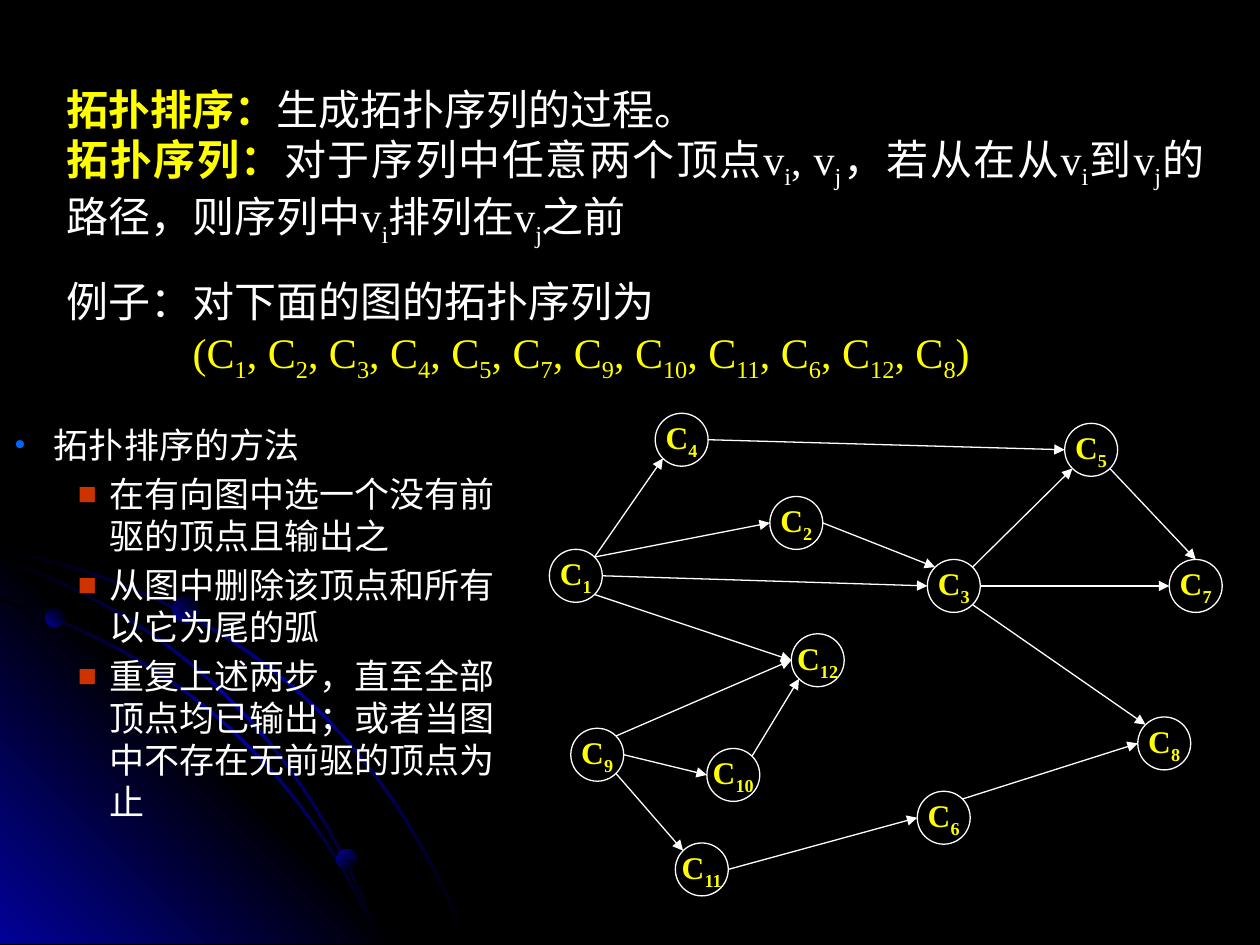
import math

import pptx
import pptx.dml.color
import pptx.enum.shapes
import pptx.enum.text
import pptx.oxml.ns
import pptx.util
from lxml import etree

Inches = pptx.util.Inches
Pt = pptx.util.Pt
RGB = pptx.dml.color.RGBColor.from_string
OVAL = pptx.enum.shapes.MSO_SHAPE.OVAL
ALIGN = pptx.enum.text.PP_ALIGN
qn = pptx.oxml.ns.qn
COLORS = {"black": "000000", "blue": "010199", "white": "FFFFFF", "yellow": "FFFF00",
          "dot": "0066FF", "square": "CC3300"}


def fill_gradient(sp, names, angle):
    sp.shadow.inherit = False
    sp.line.fill.background()
    sp.fill.gradient()
    grad = sp._element.spPr.find(qn("a:gradFill"))
    gs_list = grad.find(qn("a:gsLst"))
    for gs in list(gs_list):
        gs_list.remove(gs)
    for i, name in enumerate(names):
        gs = etree.SubElement(gs_list, qn("a:gs"), pos=str(100000 * i // (len(names) - 1)))
        etree.SubElement(gs, qn("a:srgbClr"), val=COLORS[name])
    grad.find(qn("a:lin")).set("ang", str(angle * 60000))


def add_runs(p, text, size, color, bold=False, font="Times New Roman"):
    for i, part in enumerate(text.split("|")):
        if not part:
            continue
        r = p.add_run()
        r.text = part
        r.font.size = Pt(size)
        r.font.name = font
        r.font.bold = bold
        r.font.color.rgb = RGB(COLORS[color])
        is_subscript = i % 2 == 1
        if is_subscript:
            r._r.get_or_add_rPr().set("baseline", "-25000")


prs = pptx.Presentation()
prs.slide_width = Inches(10)
prs.slide_height = Inches(7.5)
s = prs.slides.add_slide(prs.slide_layouts[6])
s.background.fill.solid()
s.background.fill.fore_color.rgb = RGB(COLORS["black"])

BOTTOM = 7.49
HALF_WIDTH = 0.01
STEPS = 24
outer_arc = ((0, 4.36), (2.7, 4.9), (3.71, BOTTOM))
inner_arc = ((0, 4.76), (2.1, 5.4), (3.02, BOTTOM))
middle_arc = ((0, 4.43), (2.2, 5.2), (3.02, BOTTOM))
corner = [(0, 4.27), (3.22, BOTTOM), (0, BOTTOM)]

outlines = []
for (x0, y0), (x1, y1), (x2, y2) in [outer_arc, inner_arc, middle_arc]:
    edges = []
    for shift in (-HALF_WIDTH, HALF_WIDTH):
        edge = []
        for step in range(STEPS + 1):
            t = step / STEPS
            a, b, c = (1 - t) ** 2, 2 * t * (1 - t), t ** 2
            edge.append((a * x0 + b * (x1 - shift) + c * (x2 - shift),
                         a * (y0 + shift) + b * (y1 + shift) + c * y2))
        edges.append(edge)
    upper, lower = edges
    outlines.append((upper + lower[::-1], ["black", "blue", "black"], 45))
outlines.insert(1, (corner, ["blue", "black", "blue"], 315))

for points, names, angle in outlines:
    points = [(Inches(x), Inches(y)) for x, y in points]
    fb = s.shapes.build_freeform(*points[0])
    fb.add_line_segments(points[1:], close=True)
    fill_gradient(fb.convert_to_shape(), names, angle)

balls = [(0.36, 4.83, 0.15, 315), (2.67, 6.74, 0.16, 45), (1.37, 4.73, 0.21, 315)]
for x, y, size, angle in balls:
    sp = s.shapes.add_shape(OVAL, Inches(x), Inches(y), Inches(size), Inches(size))
    fill_gradient(sp, ["blue", "black"], angle)

definitions = [
    ("拓扑排序：", "生成拓扑序列的过程。"),
    ("拓扑序列：", "对于序列中任意两个顶点v|i|, v|j|，若从在从v|i|到v|j|的路径，则序列中v|i|排列在v|j|之前"),
]
tf = s.shapes.add_textbox(Inches(0.43), Inches(0.61), Inches(9.23), Inches(1.31)).text_frame
tf.word_wrap = True
for i, (term, meaning) in enumerate(definitions):
    p = tf.add_paragraph() if i else tf.paragraphs[0]
    p.alignment = ALIGN.JUSTIFY
    add_runs(p, term, 24, "yellow", True)
    add_runs(p, meaning, 24, "white")

DIAMETER = 0.42
RADIUS = DIAMETER / 2
courses = {1: (4.36, 4.36), 2: (6.11, 3.94), 3: (7.36, 4.44), 4: (5.2, 3.28),
           5: (8.45, 3.36), 6: (7.28, 6.28), 7: (9.28, 4.44), 8: (9.03, 5.69),
           9: (4.53, 5.78), 10: (5.61, 5.94), 11: (5.36, 6.69), 12: (6.28, 5.03)}
for number, (x, y) in courses.items():
    sp = s.shapes.add_shape(OVAL, Inches(x), Inches(y), Inches(DIAMETER), Inches(DIAMETER))
    sp.shadow.inherit = False
    sp.fill.background()
    sp.line.color.rgb = RGB(COLORS["white"])
    sp.line.width = Pt(0.75)
    tf = sp.text_frame
    tf.word_wrap = False
    tf.vertical_anchor = pptx.enum.text.MSO_ANCHOR.MIDDLE
    p = tf.paragraphs[0]
    p.alignment = ALIGN.CENTER
    add_runs(p, f"C|{number}", 18, "yellow", True)

directions = ["E", "SE", "S", "SW", "W", "NW", "N", "NE"]
compass = {name: math.radians(45 * i) for i, name in enumerate(directions)}
arrows = [(1, "NE", 4, "SW"), (1, "NE", 2, "W"), (1, "E", 3, "W"), (1, "SE", 12, "W"),
          (2, "E", 3, "NW"), (3, "NE", 5, "SW"), (3, "E", 7, "W"), (3, "SE", 8, "NW"),
          (4, "E", 5, "W"), (5, "SE", 7, "N"), (6, "NE", 8, "W"), (9, "NE", 12, "W"),
          (9, "E", 10, "W"), (9, "SE", 11, "NW"), (10, "NE", 12, "SW"), (11, "E", 6, "W")]
for start, start_side, end, end_side in arrows:
    ends = []
    for number, side in [(start, start_side), (end, end_side)]:
        x, y = courses[number]
        ends.append(Inches(x + RADIUS + RADIUS * math.cos(compass[side])))
        ends.append(Inches(y + RADIUS + RADIUS * math.sin(compass[side])))
    cxn = s.shapes.add_connector(pptx.enum.shapes.MSO_CONNECTOR.STRAIGHT, *ends)
    cxn.line.color.rgb = RGB(COLORS["white"])
    cxn.line.width = Pt(0.75)
    etree.SubElement(cxn.line._get_or_add_ln(), qn("a:tailEnd"), type="triangle")
    etree.SubElement(cxn._element.spPr, qn("a:effectLst"))

order = [1, 2, 3, 4, 5, 7, 9, 10, 11, 6, 12, 8]
sequence = ", ".join(f"C|{number}|" for number in order)
tf = s.shapes.add_textbox(Inches(0.43), Inches(2.14), Inches(8.35), Inches(0.91)).text_frame
tf.word_wrap = True
add_runs(tf.paragraphs[0], "例子：对下面的图的拓扑序列为", 24, "white")
p = tf.add_paragraph()
tabs = etree.SubElement(p._p.get_or_add_pPr(), qn("a:tabLst"))
etree.SubElement(tabs, qn("a:tab"), pos=str(Inches(1)), algn="l")
add_runs(p, f"\t({sequence})", 24, "yellow")

method = [
    (1, "拓扑排序的方法"),
    (2, "在有向图中选一个没有前驱的顶点且输出之"),
    (2, "从图中删除该顶点和所有以它为尾的弧"),
    (2, "重复上述两步，直至全部顶点均已输出；或者当图中不存在无前驱的顶点为止"),
]
bullets = {1: (0.81, -0.31, "dot", 85, "•"), 2: (1.25, -0.25, "square", 90, "■")}
tf = s.shapes.add_textbox(Inches(-0.48), Inches(3.31), Inches(4.65), Inches(3.33)).text_frame
tf.word_wrap = True
for i, (level, text) in enumerate(method):
    p = tf.add_paragraph() if i else tf.paragraphs[0]
    p.level = level
    margin, indent, color, percent, char = bullets[level]
    pPr = p._p.get_or_add_pPr()
    pPr.set("marL", str(Inches(margin)))
    pPr.set("indent", str(Inches(indent)))
    bu_clr = etree.SubElement(pPr, qn("a:buClr"))
    etree.SubElement(bu_clr, qn("a:srgbClr"), val=COLORS[color])
    etree.SubElement(pPr, qn("a:buSzPct"), val=str(percent * 1000))
    etree.SubElement(pPr, qn("a:buFont"), typeface="Arial")
    etree.SubElement(pPr, qn("a:buChar"), char=char)
    if i:
        p.space_before = Pt(4)
    add_runs(p, text, 20, "white", font="Arial")

prs.save("out.pptx")
